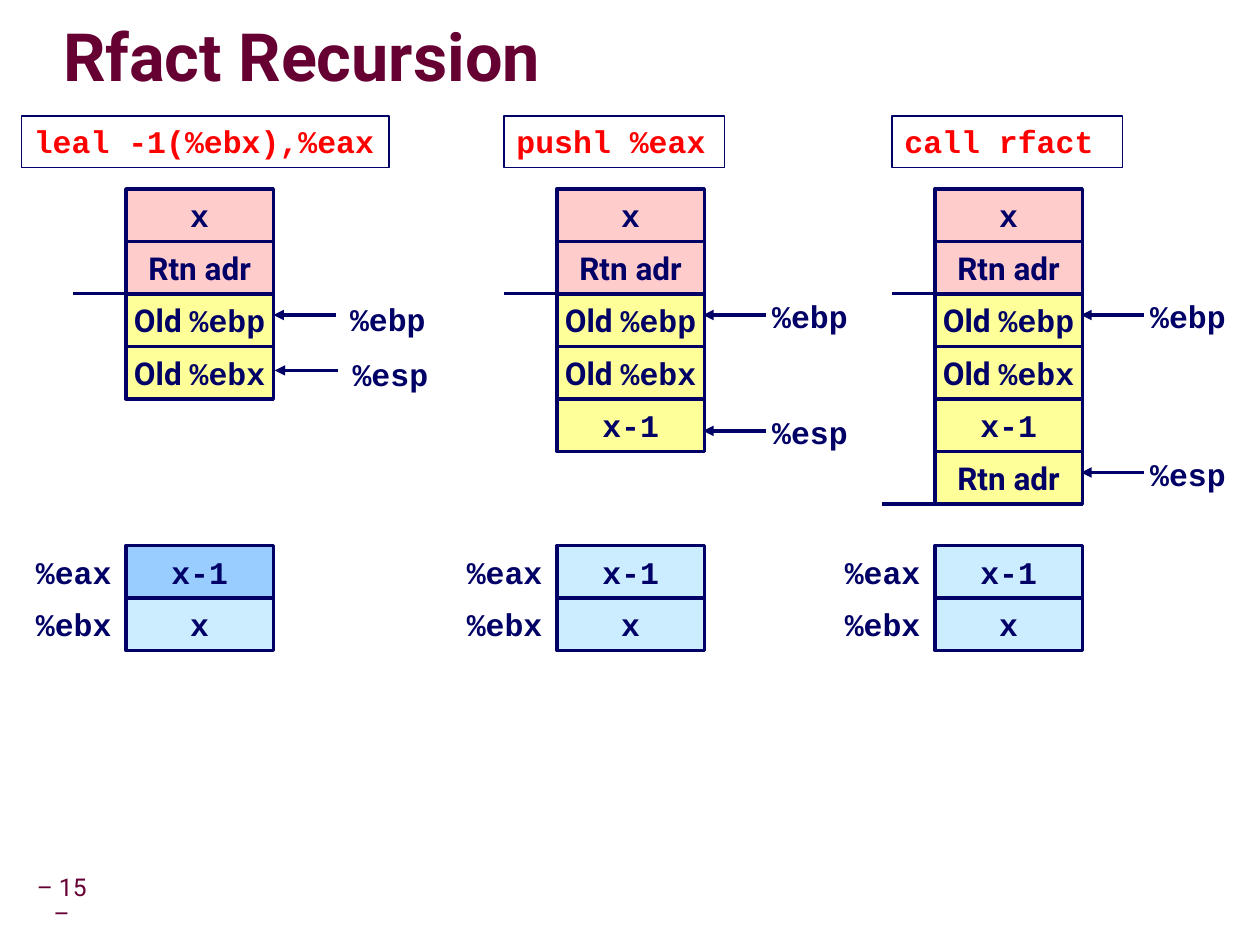
from lxml.etree import SubElement
from pptx import Presentation
from pptx.dml.color import RGBColor
from pptx.enum.shapes import MSO_CONNECTOR, MSO_SHAPE
from pptx.enum.text import MSO_ANCHOR as ANCHOR, PP_ALIGN as ALIGN
from pptx.oxml import parse_xml
from pptx.oxml.ns import nsdecls, qn
from pptx.util import Inches, Pt

NAVY, MAROON, RED = "000066", "660033", "FF0000"
PINK, YELLOW, PALE, BLUE = "FFCCCC", "FFFF99", "CCECFF", "99CCFF"
CODE, SANS = "Courier New", "Roboto"
CELL_W, CELL_H = 1.17, 5 / 12
STACK_TOP, REG_TOP = 1.5, 4.33

prs = Presentation()
prs.slide_width, prs.slide_height = Inches(10), Inches(7.5)
s = prs.slides.add_slide(prs.slide_layouts[6])


def add_box(x, y, w, h, runs, fill=None, line=None, color=NAVY, size=18,
            bold=True, align=ALIGN.CENTER, anchor=ANCHOR.MIDDLE, wrap=False):
    """Rectangle or, with neither fill nor line, a text box; runs are (text, font)."""
    place = [Inches(v) for v in (x, y, w, h)]
    if fill or line:
        sp = s.shapes.add_shape(MSO_SHAPE.RECTANGLE, *place)
        sp.shadow.inherit = False
        if fill:
            sp.fill.solid()
            sp.fill.fore_color.rgb = RGBColor.from_string(fill)
        else:
            sp.fill.background()
        if line:
            sp.line.color.rgb = RGBColor.from_string(NAVY)
            sp.line.width = Pt(line)
        else:
            sp.line.fill.background()
    else:
        sp = s.shapes.add_textbox(*place)
    tf = sp.text_frame
    tf.word_wrap, tf.vertical_anchor = wrap, anchor
    p = tf.paragraphs[0]
    p.alignment = align
    for text, font in runs:
        r = p.add_run()
        r.text = text
        r.font.name, r.font.size, r.font.bold = font, Pt(size), bold
        r.font.color.rgb = RGBColor.from_string(color)
    return sp


def add_line(x1, y1, x2, y2, arrow=False):
    ln = s.shapes.add_connector(MSO_CONNECTOR.STRAIGHT,
                                *[Inches(v) for v in (x1, y1, x2, y2)])
    ln.line.color.rgb = RGBColor.from_string(NAVY)
    ln.line.width = Pt(2)
    if arrow:
        SubElement(ln.line._get_or_add_ln(), qn("a:tailEnd"), type="triangle")
    SubElement(ln._element.spPr, qn("a:effectLst"))


# Slide number
sp = add_box(0.24, 7, 0.66, 0.31, [("– 15 –", SANS)], color=MAROON, size=14,
             bold=False, wrap=True)
tf = sp.text_frame
tf.margin_left, tf.margin_right = Inches(0.04), Inches(0.2)
tf.paragraphs[0].line_spacing = 0.9

# Title with a soft text shadow
sp = add_box(0.5, 0.17, 6.31, 0.63, [("Rfact Recursion", SANS)], color=MAROON,
             size=38, align=ALIGN.LEFT, wrap=True)
tf = sp.text_frame
tf.margin_left = tf.margin_right = tf.margin_top = tf.margin_bottom = 0
p = tf.paragraphs[0]
p.line_spacing = 0.87
p.runs[0].font._element.find(qn("a:solidFill")).addnext(parse_xml(
    f'<a:effectLst {nsdecls("a")}><a:outerShdw blurRad="38100" dist="38100" '
    'dir="2700000"><a:srgbClr val="C0C0C0"/></a:outerShdw></a:effectLst>'))

# Stack cells, top down; each step shows the first few of them
stack = [
    ([("x", CODE)], PINK),
    ([("Rtn adr", SANS)], PINK),
    ([("Old ", SANS), ("%ebp", CODE)], YELLOW),
    ([("Old ", SANS), ("%ebx", CODE)], YELLOW),
    ([("x-1", CODE)], YELLOW),
    ([("Rtn adr", SANS)], YELLOW),
]

# Instruction, its box (left, width), stack left, depth, %eax fill,
# frame line start, pointers (name, arrow tip x, arrow y, label x, label y)
steps = [
    ("leal -1(%ebx),%eax", 0.17, 2.92, 1, 4, BLUE, 0.58,
     [("%ebp", 2.17, 2.5, 2.68, 2.33), ("%esp", 2.18, 2.94, 2.7, 2.77)]),
    ("pushl %eax", 4, 1.75, 4.42, 5, PALE, 4,
     [("%ebp", 5.58, 2.5, 6.03, 2.31), ("%esp", 5.58, 3.42, 6.03, 3.23)]),
    ("call rfact", 7.08, 1.83, 7.42, 6, PALE, 7.08,
     [("%ebp", 8.58, 2.5, 9.03, 2.31), ("%esp", 8.58, 3.75, 9.03, 3.56)]),
]

for code, code_x, code_w, x, depth, eax_fill, frame_x, pointers in steps:
    add_box(code_x, 0.92, code_w, 0.41, [(code, CODE)], line=1, color=RED,
            align=ALIGN.LEFT, anchor=ANCHOR.TOP, wrap=True)
    for i, (runs, fill) in enumerate(stack[:depth]):
        add_box(x, STACK_TOP + i * CELL_H, CELL_W, CELL_H, runs, fill, line=2)
    registers = [("%eax", "x-1", eax_fill), ("%ebx", "x", PALE)]
    for i, (name, value, fill) in enumerate(registers):
        y = REG_TOP + i * CELL_H
        add_box(x - 0.75, y, 0.67, CELL_H, [(name, CODE)], "FFFFFF")
        add_box(x, y, CELL_W, CELL_H, [(value, CODE)], fill, line=2)
    add_line(frame_x, 2.33, frame_x + 0.42, 2.33)
    for name, tip_x, tip_y, label_x, label_y in pointers:
        add_line(tip_x + 0.5, tip_y, tip_x, tip_y, arrow=True)
        add_box(label_x, label_y, 0.8, 0.4, [(name, CODE)], align=ALIGN.LEFT,
                anchor=ANCHOR.TOP)

# Start of the new frame after the call
add_line(7, 4, 7.42, 4)

prs.save("out.pptx")
